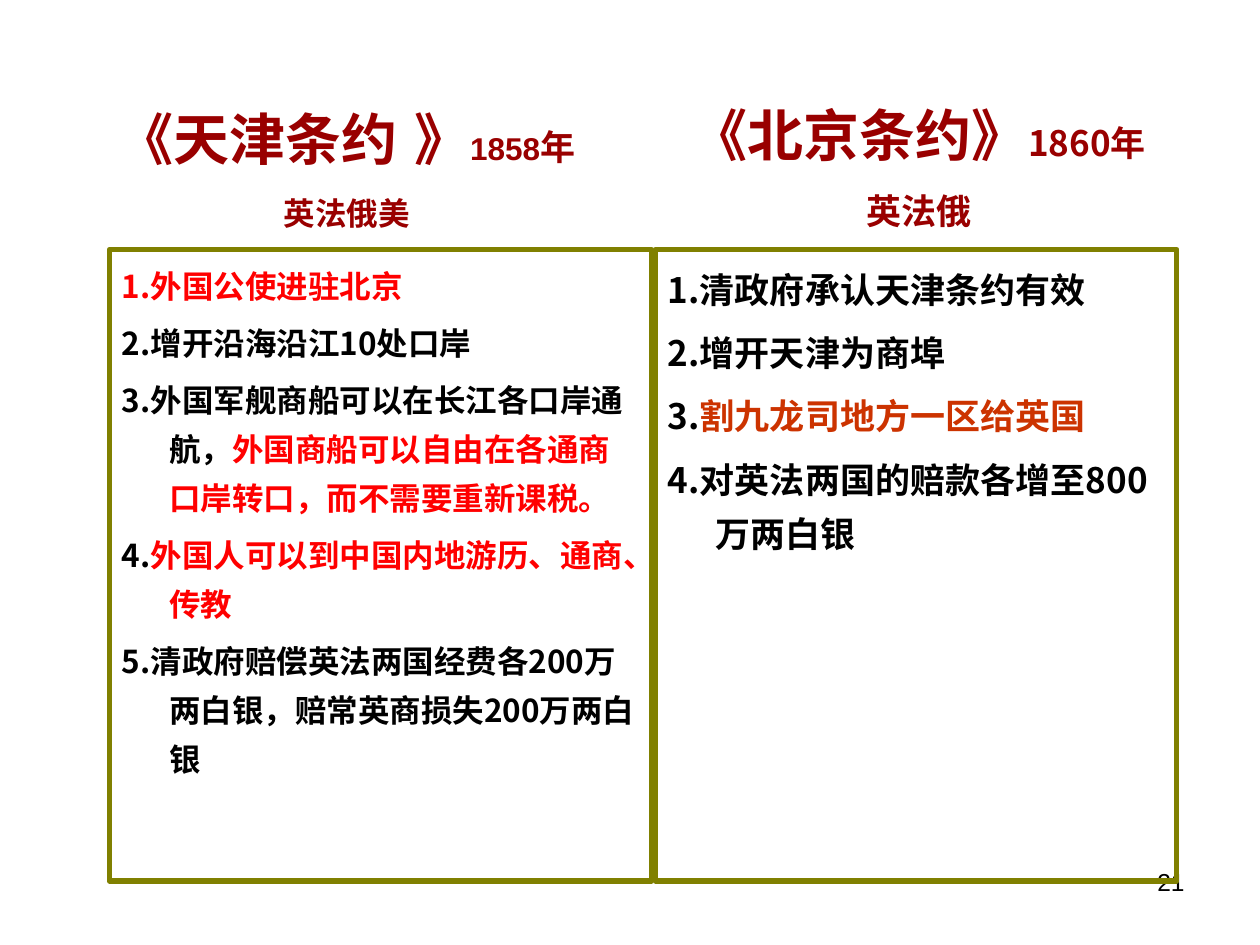
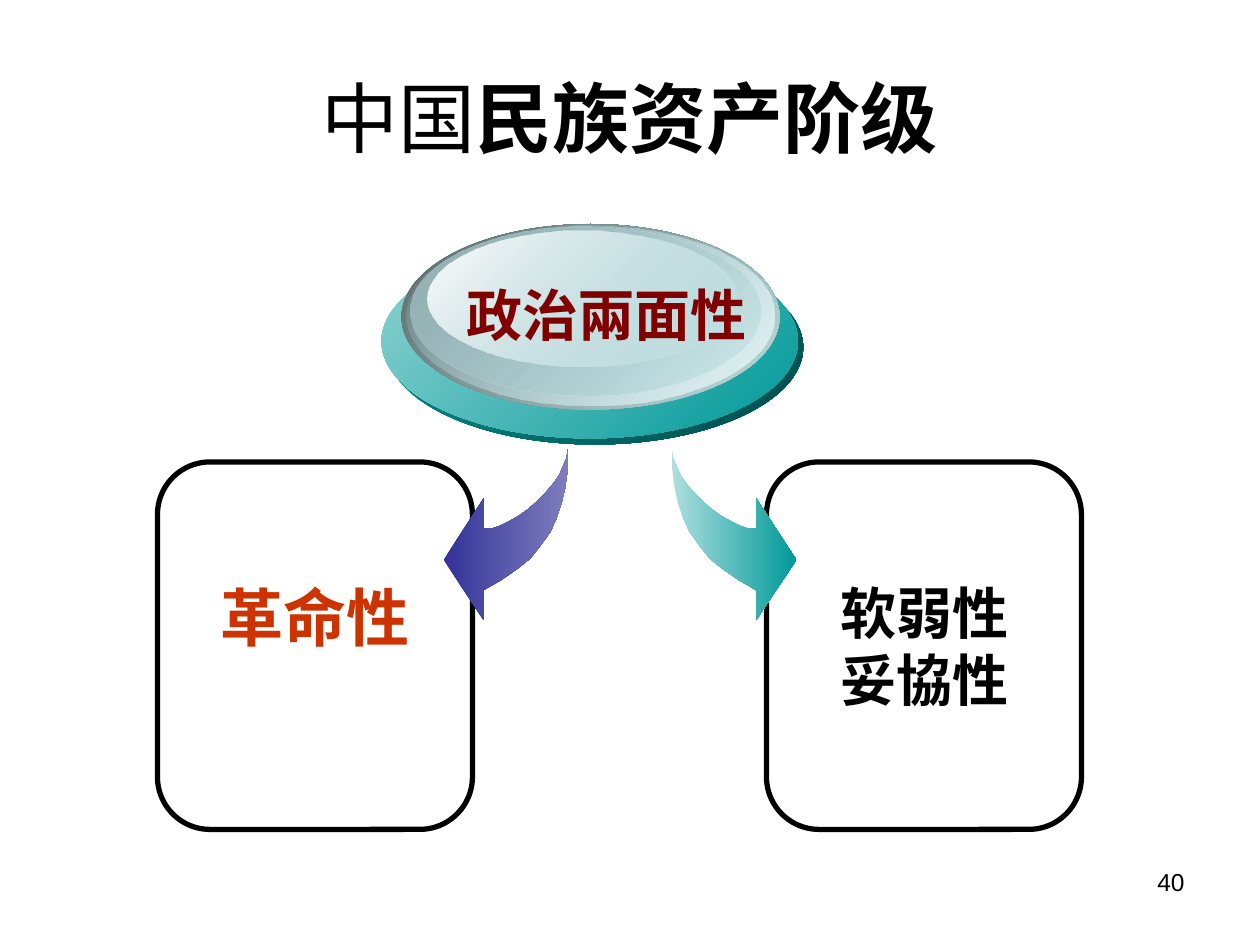
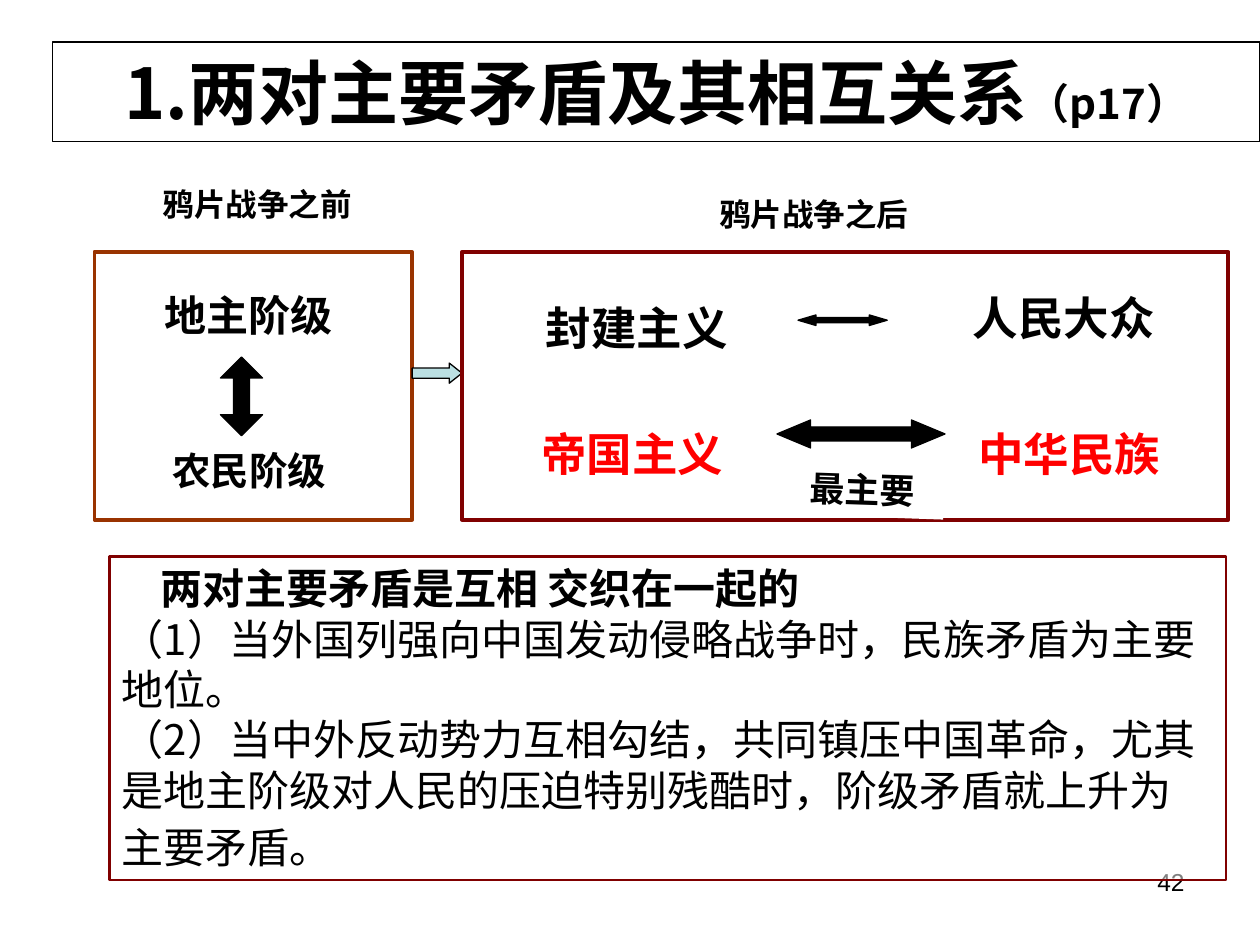
from dataclasses import dataclass

from lxml import etree
from pptx import Presentation
from pptx import util as u
from pptx.dml.color import RGBColor
from pptx.enum import shapes, text
from pptx.oxml import ns

Pt = u.Pt
SHAPE = shapes.MSO_SHAPE
CENTER, LEFT, RIGHT = text.PP_ALIGN.CENTER, text.PP_ALIGN.LEFT, text.PP_ALIGN.RIGHT
TOP, MIDDLE = text.MSO_ANCHOR.TOP, text.MSO_ANCHOR.MIDDLE


@dataclass(frozen=True)
class Theme:
    black: str = "000000"
    white: str = "FFFFFF"
    red: str = "FF0000"
    vermilion: str = "CC3300"
    crimson: str = "990000"
    maroon: str = "800000"
    brown: str = "993300"
    olive: str = "808000"
    teal: str = "009999"
    pale_teal: str = "AEDFDF"
    indigo: str = "333399"
    pale_indigo: str = "7D7DBE"
    pale_blue: str = "BBE0E3"
    cjk: str = "Noto Sans CJK SC"
    sans: str = "Arial"
    serif: str = "Times New Roman"
    number: float = 14
    small: float = 18
    medium: float = 20
    body: float = 24
    label: float = 26
    heading: float = 32
    emphasis: float = 36
    banner: float = 40
    title: float = 44


THEME = Theme()


def write(shape, paragraphs, size=THEME.body, font=THEME.cjk, color=THEME.black, bold=True,
          align=LEFT, anchor=TOP, gap=0, spacing=None, hanging=0, first_indent=0):
    frame = shape.text_frame
    frame.word_wrap = True
    frame.auto_size = text.MSO_AUTO_SIZE.NONE
    frame.vertical_anchor = anchor
    frame.margin_left = frame.margin_right = Pt(7.2)
    frame.margin_top = frame.margin_bottom = Pt(3.6)
    for index, runs in enumerate(paragraphs):
        paragraph = frame.add_paragraph() if index else frame.paragraphs[0]
        paragraph.alignment = align
        paragraph.space_before = Pt(gap if index else 0)
        if spacing:
            paragraph.line_spacing = spacing
        properties = paragraph._p.get_or_add_pPr()
        if hanging:
            properties.set("marL", str(Pt(hanging)))
            properties.set("indent", str(-Pt(hanging)))
        elif first_indent and not index:
            properties.set("indent", str(Pt(first_indent)))
        for part in [runs] if isinstance(runs, str) else runs:
            words, changes = (part, {}) if isinstance(part, str) else part
            style = dict(size=size, font=font, color=color, bold=bold) | changes
            run = paragraph.add_run()
            run.text = words
            run.font.size = Pt(style["size"])
            run.font.bold = style["bold"]
            run.font.color.rgb = RGBColor.from_string(style["color"])
            run.font.name = style["font"]
            east_asian = etree.SubElement(run._r.get_or_add_rPr(), ns.qn("a:ea"))
            east_asian.set("typeface", THEME.cjk)


def paint(shape, fill=None, line=None, width=0.75, opacity=100):
    if fill:
        shape.fill.solid()
        shape.fill.fore_color.rgb = RGBColor.from_string(fill)
        if opacity < 100:
            color = shape._element.spPr.find(".//" + ns.qn("a:srgbClr"))
            etree.SubElement(color, ns.qn("a:alpha")).set("val", str(opacity * 1000))
    else:
        shape.fill.background()
    if line:
        shape.line.color.rgb = RGBColor.from_string(line)
        shape.line.width = Pt(width)
    else:
        shape.line.fill.background()


def paint_gradient(shape, stops, angle):
    shape.shadow.inherit = False
    shape.line.fill.background()
    shape.fill.gradient()
    gradient = shape._element.spPr.find(ns.qn("a:gradFill"))
    stop_list = gradient.find(ns.qn("a:gsLst"))
    for stop in list(stop_list):
        stop_list.remove(stop)
    for position, (value, opacity) in zip((0, 100000), stops):
        stop = etree.SubElement(stop_list, ns.qn("a:gs"), pos=str(position))
        color = etree.SubElement(stop, ns.qn("a:srgbClr"), val=value)
        if opacity < 100:
            etree.SubElement(color, ns.qn("a:alpha"), val=str(opacity * 1000))
    gradient.find(ns.qn("a:lin")).set("ang", str(angle * 60000))


def add_shape(slide, kind, box, adjustments=(), **colors):
    shape = slide.shapes.add_shape(kind, *map(Pt, box))
    shape.shadow.inherit = False
    for index, value in enumerate(adjustments):
        shape.adjustments[index] = value
    paint(shape, **colors)
    return shape


def add_text(slide, box, paragraphs, **style):
    write(slide.shapes.add_textbox(*map(Pt, box)), paragraphs, **style)


def add_title(slide, box, runs, **style):
    title = slide.shapes.title
    title.left, title.top, title.width, title.height = map(Pt, box)
    write(title, [runs], align=CENTER, anchor=MIDDLE, **style)
    return title


def new_slide(presentation, number, titled=True):
    slide = presentation.slides.add_slide(presentation.slide_layouts[5 if titled else 6])
    add_text(slide, (516, 492, 168, 37.5), [number], size=THEME.number, font=THEME.sans,
             bold=False, align=RIGHT)
    return slide


def treaty_column(slide, box, clauses, size, gap):
    panel = add_shape(slide, SHAPE.RECTANGLE, box, line=THEME.olive, width=3)
    write(panel, clauses, size=size, gap=gap, spacing=1.3, hanging=27)


def treaties_slide(presentation):
    slide = new_slide(presentation, "21", titled=False)
    red = {"color": THEME.red}
    treaty_column(slide, (62.5, 142.5, 310, 361), [
        [("1.外国公使进驻北京", red)],
        "2.增开沿海沿江10处口岸",
        ["3.外国军舰商船可以在长江各口岸通航，",
         ("外国商船可以自由在各通商口岸转口，而不需要重新课税。", red)],
        ["4.", ("外国人可以到中国内地游历、通商、传教", red)],
        "5.清政府赔偿英法两国经费各200万两白银，赔常英商损失200万两白银",
    ], THEME.small, 4.5)
    treaty_column(slide, (374.5, 142.5, 298, 361), [
        "1.清政府承认天津条约有效",
        "2.增开天津为商埠",
        ["3.", ("割九龙司地方一区给英国", {"color": THEME.vermilion})],
        "4.对英法两国的赔款各增至800万两白银",
    ], THEME.medium, 5)
    heading = dict(size=THEME.heading, color=THEME.crimson, align=CENTER)
    medium = {"size": THEME.medium}
    add_text(slide, (366, 54, 318, 82), [
        ["《北京条约》", ("1860年", medium)],
        [("英法俄", medium)],
    ], gap=12.5, **heading)
    add_text(slide, (30, 48, 336, 89), [
        ["《天津条约", (" ", {"size": THEME.banner}), "》",
         ("1858", {"size": THEME.small, "font": THEME.sans}), ("年", medium)],
        [("英法俄美", {"size": THEME.small})],
    ], gap=11.2, **heading)


def curved_arrow(slide, box, stops, mirrored=False):
    left, top, width, height = box
    outline = [(99, 0), (99, 15), (97, 30), (94, 43), (90, 55), (85, 66), (77, 77), (69, 87),
               (59, 95), (46, 104), (32, 112), (32, 136), (0, 88), (32, 39), (32, 63),
               (39, 63), (45, 61), (53, 57), (60, 53), (67, 48), (74, 42), (81, 35),
               (87, 28), (92, 21), (95, 14), (98, 7)]
    points = [(Pt(left + width * (99 - x if mirrored else x) / 99), Pt(top + height * y / 136))
              for x, y in outline]
    builder = slide.shapes.build_freeform(*points[0])
    builder.add_line_segments(points[1:], close=True)
    paint_gradient(builder.convert_to_shape(), stops, 0)


def glass_button(slide, box, label):
    left, top, width, height = box
    layers = [
        ((3, 15, 238, 111), (THEME.teal, 100), ("004A4A", 100)),
        ((0, 11.5, 238, 111), ("8ED2D2", 100), (THEME.teal, 100)),
        ((11.5, 0, 216, 106), ("576869", 100), (THEME.pale_blue, 100)),
        ((14.5, 0.7, 210, 103), (THEME.pale_blue, 0), ("E7F4F5", 100)),
        ((16.5, 1.5, 200, 96.5), ("94B1B4", 100), (THEME.pale_blue, 48)),
        ((26.5, 3.5, 176.5, 78), (THEME.white, 100), (THEME.pale_blue, 38)),
    ]
    for (x, y, layer_width, layer_height), *stops in layers:
        layer = add_shape(slide, SHAPE.OVAL, (left + x, top + y, layer_width, layer_height))
        paint_gradient(layer, stops, 45)
    add_text(slide, (left + 29, top + 29, width - 42, 46), [label], size=THEME.heading,
             font=THEME.sans, color=THEME.maroon, align=CENTER)


def bourgeoisie_slide(presentation):
    slide = new_slide(presentation, "40")
    add_title(slide, (36, 21.5, 648, 90), [("中国", {"bold": False}), "民族资产阶级"],
              size=THEME.title, font=THEME.sans)
    sides = [
        (90, 29, ["革命性"], THEME.emphasis, THEME.vermilion),
        (438, 35, ["软弱性", "妥協性"], THEME.heading, THEME.black),
    ]
    for left, inset, words, size, color in sides:
        add_shape(slide, SHAPE.ROUNDED_RECTANGLE, (left, 264, 180, 210), [0.167],
                  line=THEME.black, width=3)
        add_text(slide, (left + inset, 327, 160, 84), words, size=size, font=THEME.sans,
                 color=color)
    curved_arrow(slide, (253.5, 256.5, 71, 98),
                 [(THEME.indigo, 100), (THEME.pale_indigo, 100)])
    curved_arrow(slide, (384, 256.5, 71, 98),
                 [(THEME.pale_teal, 100), (THEME.teal, 100)], mirrored=True)
    glass_button(slide, (218, 128, 241, 126), "政治兩面性")


def conflict_panel(slide, box, border, labels, arrows):
    left, top, width, height = box
    for (x, y, label_width), words, size, color in labels:
        label = add_shape(slide, SHAPE.RECTANGLE, (left + x, top + y, label_width, 38),
                          fill=THEME.white)
        write(label, [words], size=size, font=THEME.serif, color=color, align=CENTER)
    add_shape(slide, SHAPE.RECTANGLE, box, line=border, width=2.25)
    for kind, (x, y, arrow_width, arrow_height), head in arrows:
        add_shape(slide, kind, (left + x, top + y, arrow_width, arrow_height), [0.5, head],
                  fill=THEME.black, line=THEME.black)


def summary_box(slide, box):
    panel = add_shape(slide, SHAPE.RECTANGLE, box, fill=THEME.white, opacity=50,
                      line=THEME.maroon, width=1.5)
    regular = {"bold": False}
    write(panel, [
        "两对主要矛盾是互相 交织在一起的",
        [("（1）当外国列强向中国发动侵略战争时，民族矛盾为主要地位。", regular)],
        [("（2）当中外反动势力互相勾结，共同镇压中国革命，尤其是地主阶级对人民的压迫特别残酷时，"
          "阶级矛盾就上升为主要矛盾。", regular), (" ", {"size": 28})],
    ], first_indent=22)


def contradictions_slide(presentation):
    slide = new_slide(presentation, "42")
    title = add_title(slide, (30, 24, 690, 57),
                      ["1.两对主要矛盾及其相互关系", ("（p17）", {"size": THEME.body})],
                      size=THEME.banner)
    paint(title, fill=THEME.white, line=THEME.black)
    summary_box(slide, (62.5, 318, 638, 185))
    conflict_panel(slide, (54, 144, 181.5, 153), THEME.brown, [
        ((6, 18, 164), "地主阶级", THEME.body, THEME.black),
        ((12, 108, 153), "农民阶级", 22, THEME.black),
    ], [(SHAPE.UP_DOWN_ARROW, (72, 60, 24, 45), 0.38)])
    add_shape(slide, SHAPE.RIGHT_ARROW, (235.5, 207.5, 28.5, 11.5), [0.5, 0.63],
              fill=THEME.pale_blue, line=THEME.black)
    conflict_panel(slide, (264, 144, 438, 153), THEME.maroon, [
        ((18, 24, 164), "封建主义", THEME.label, THEME.black),
        ((270, 18, 148), "人民大众", THEME.label, THEME.black),
        ((18, 96, 159), "帝国主义", THEME.label, THEME.red),
        ((282, 96, 130), "中华民族", THEME.label, THEME.red),
    ], [
        (SHAPE.LEFT_RIGHT_ARROW, (192, 36, 51, 6), 1.7),
        (SHAPE.LEFT_RIGHT_ARROW, (180, 96, 96, 16), 1.2),
    ])
    note = add_shape(slide, SHAPE.RECTANGLE, (456, 264, 83.5, 31.5), fill=THEME.white)
    note.rotation = 2
    write(note, ["最主要"], size=THEME.medium, font=THEME.serif)
    for left, top, words in [(84, 102, "鸦片战争之前"), (402, 108, "鸦片战争之后")]:
        add_text(slide, (left, top, 126, 29), [words], size=THEME.small, font=THEME.sans,
                 align=CENTER)


def main():
    presentation = Presentation()
    presentation.slide_width, presentation.slide_height = Pt(720), Pt(540)
    treaties_slide(presentation)
    bourgeoisie_slide(presentation)
    contradictions_slide(presentation)
    presentation.save("out.pptx")


if __name__ == "__main__":
    main()
